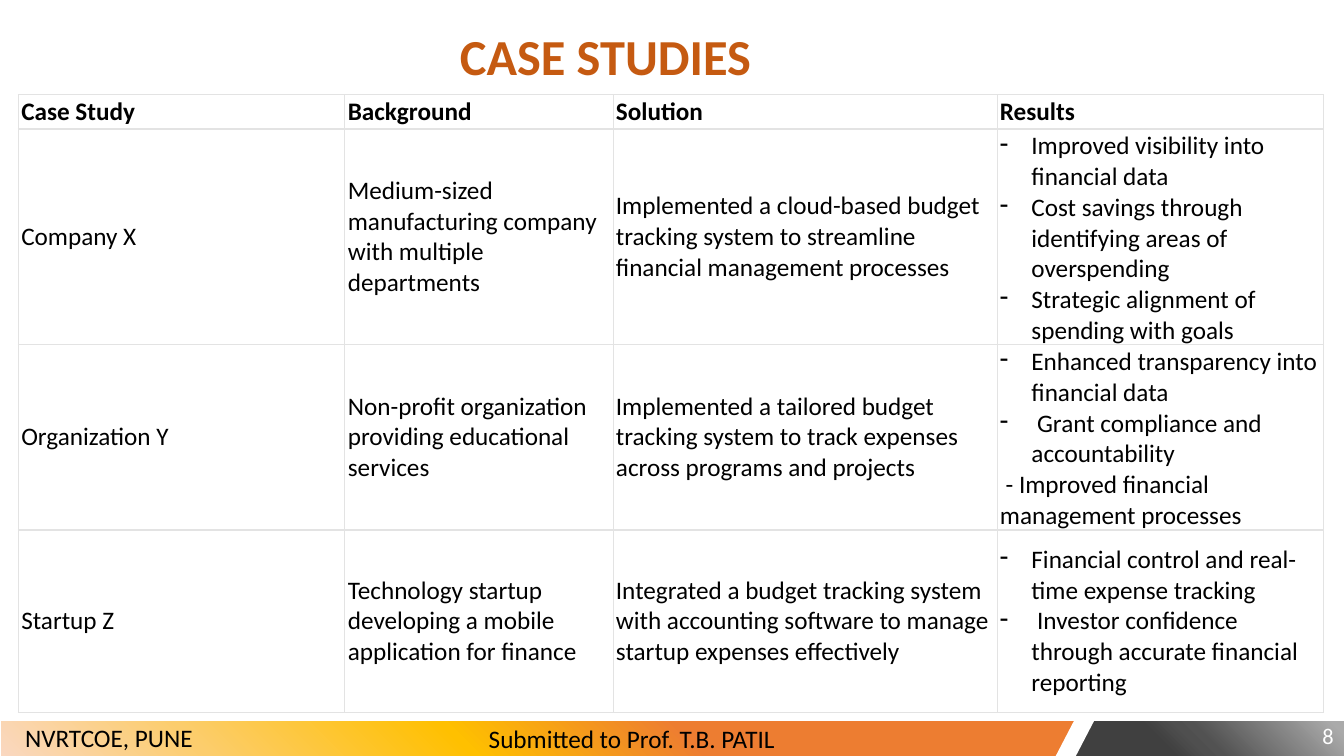
"""Build the case studies slide: a bordered table above a gradient footer."""
from lxml.etree import SubElement
from pptx import Presentation
from pptx.dml.color import RGBColor
from pptx.enum.shapes import MSO_SHAPE
from pptx.enum.text import MSO_ANCHOR, PP_ALIGN
from pptx.oxml.ns import qn
from pptx.util import Pt

BLACK, WHITE, GRID, RUST = "000000", "FFFFFF", "E3E3E3", "C55A11"
TITLE = "CASE STUDIES"
HEADINGS = ["Case Study", "Background", "Solution", "Results"]
STUDIES = [
    ("Company X",
     "Medium-sized manufacturing company with multiple departments",
     "Implemented a cloud-based budget tracking system to streamline financial management processes",
     ["Improved visibility into financial data",
      "Cost savings through identifying areas of overspending",
      "Strategic alignment of spending with goals"]),
    ("Organization Y",
     "Non-profit organization providing educational services",
     "Implemented a tailored budget tracking system to track expenses across programs and projects",
     ["Enhanced transparency into financial data",
      " Grant compliance and accountability",
      " - Improved financial management processes"]),
    ("Startup Z",
     "Technology startup developing a mobile application for finance",
     "Integrated a budget tracking system with accounting software to manage startup expenses effectively",
     ["Financial control and real-time expense tracking",
      " Investor confidence through accurate financial reporting"]),
]
COLUMN_WIDTHS = [233.3, 191.5, 274.3, 233.3]
ROW_HEIGHTS = [23, 149, 128.2, 130.3]
TABLE_LEFT, TABLE_TOP = 13, 67.7
RESULT_INDENT = 22.5

FOOTER_TOP, FOOTER_HEIGHT = 514.8, 27.4
ORANGE_STOPS = [(0, "FAD8C2"), (19, "FCCD6D"), (43, "FFC000"), (64, "ED7D31"), (94, "ED7D31")]
GRAY_STOPS = [(33, "404040"), (44, "4F4F4F"), (49, "525252"), (95, "AAAAAA")]
FOOTER_BANDS = [
    (MSO_SHAPE.FLOWCHART_PROCESS, 0, 768.2, ORANGE_STOPS),
    (MSO_SHAPE.RECTANGLE, 768.2, 193.7, GRAY_STOPS),
]
LABELS = [
    ("NVRTCOE, PUNE", (10.8, 512.6, 265, 29), 18, BLACK, False, PP_ALIGN.LEFT, MSO_ANCHOR.TOP),
    ("Submitted to Prof. T.B. PATIL", (342, 513.4, 298, 29), 18, BLACK, False,
     PP_ALIGN.LEFT, MSO_ANCHOR.TOP),
    (TITLE, (321.4, 14.4, 563, 51), 36, RUST, True, PP_ALIGN.LEFT, MSO_ANCHOR.TOP),
    ("8", (743.8, 511.2, 216, 28.8), 16, WHITE, False, PP_ALIGN.RIGHT, MSO_ANCHOR.MIDDLE),
]


def paint(color_format, color):
    color_format.rgb = RGBColor.from_string(color)


def style(paragraph, size, color=BLACK, bold=False):
    font = paragraph.font
    font.name, font.size, font.bold = "Calibri", Pt(size), bold
    paint(font.color, color)


def add_solid(parent, color):
    SubElement(SubElement(parent, qn("a:solidFill")), qn("a:srgbClr"), val=color)


def add_footer_part(slide, preset, left, top, width, height):
    part = slide.shapes.add_shape(preset, Pt(left), Pt(top), Pt(width), Pt(height))
    part.shadow.inherit = False
    part.fill.solid()
    paint(part.fill.fore_color, WHITE)
    paint(part.line.color, WHITE)
    part.line.width = Pt(1)
    return part


def fill_from_corner(band, stops):
    band.fill.gradient()
    gradient = band.element.spPr.find(qn("a:gradFill"))
    gradient.clear()
    stop_list = SubElement(gradient, qn("a:gsLst"))
    for percent, color in stops:
        stop = SubElement(stop_list, qn("a:gs"), pos=str(percent * 1000))
        SubElement(stop, qn("a:srgbClr"), val=color)
    circle = SubElement(gradient, qn("a:path"), path="circle")
    SubElement(circle, qn("a:fillToRect"), t="100000", r="100000")


def add_label(slide, text, box, size, color, bold, align, anchor):
    label = slide.shapes.add_textbox(*map(Pt, box))
    frame = label.text_frame
    frame.word_wrap, frame.vertical_anchor = True, anchor
    paragraph = frame.paragraphs[0]
    paragraph.text, paragraph.alignment = text, align
    style(paragraph, size, color, bold)


def add_borders(cell, top, bottom):
    properties = cell._tc.get_or_add_tcPr()
    sides = [("a:lnL", 0.6), ("a:lnR", 0.6), ("a:lnT", top), ("a:lnB", bottom)]
    for position, (side, width) in enumerate(sides):
        border = SubElement(properties, qn(side), w=str(Pt(width)))
        add_solid(border, GRID)
        properties.insert(position, border)


def add_dash(paragraph):
    indent = Pt(RESULT_INDENT)
    properties = paragraph._p.get_or_add_pPr()
    properties.set("marL", str(indent))
    properties.set("indent", str(-indent))
    bullet = SubElement(properties, qn("a:buChar"), char="-")
    properties.insert(0, bullet)


def fill_cell(cell, content, is_heading):
    cell.margin_left = cell.margin_right = Pt(2.2)
    cell.margin_top = cell.margin_bottom = Pt(1.4)
    cell.vertical_anchor = MSO_ANCHOR.BOTTOM if is_heading else MSO_ANCHOR.MIDDLE
    cell.fill.solid()
    paint(cell.fill.fore_color, WHITE)
    is_results = isinstance(content, list)
    lines = content if is_results else [content]
    cell.text = "\n".join(lines)
    for paragraph, line in zip(cell.text_frame.paragraphs, lines):
        style(paragraph, 18, bold=is_heading)
        if is_results and not line.startswith(" -"):
            add_dash(paragraph)


def add_studies(slide):
    rows = [HEADINGS, *STUDIES]
    last = len(rows) - 1
    table = slide.shapes.add_table(
        len(rows), len(HEADINGS), Pt(TABLE_LEFT), Pt(TABLE_TOP),
        Pt(sum(COLUMN_WIDTHS)), Pt(sum(ROW_HEIGHTS))).table
    table.first_row = table.horz_banding = False
    for column, width in zip(table.columns, COLUMN_WIDTHS):
        column.width = Pt(width)
    for index, (row, height, contents) in enumerate(zip(table.rows, ROW_HEIGHTS, rows)):
        row.height = Pt(height)
        for cell, content in zip(row.cells, contents):
            fill_cell(cell, content, index == 0)
            add_borders(cell, 1 if index else 0.6, 1 if index < last else 0.6)


def main():
    deck = Presentation()
    deck.slide_width, deck.slide_height = Pt(960), Pt(540)
    slide = deck.slides.add_slide(deck.slide_layouts[6])
    for preset, left, width, stops in FOOTER_BANDS:
        band = add_footer_part(slide, preset, left, FOOTER_TOP, width, FOOTER_HEIGHT)
        fill_from_corner(band, stops)
    divider = add_footer_part(slide, MSO_SHAPE.PARALLELOGRAM, 759.6, 511.2, 15.8, 33.8)
    divider.rotation = 20.8
    for label in LABELS:
        add_label(slide, *label)
    add_studies(slide)
    deck.save("out.pptx")


if __name__ == "__main__":
    main()
